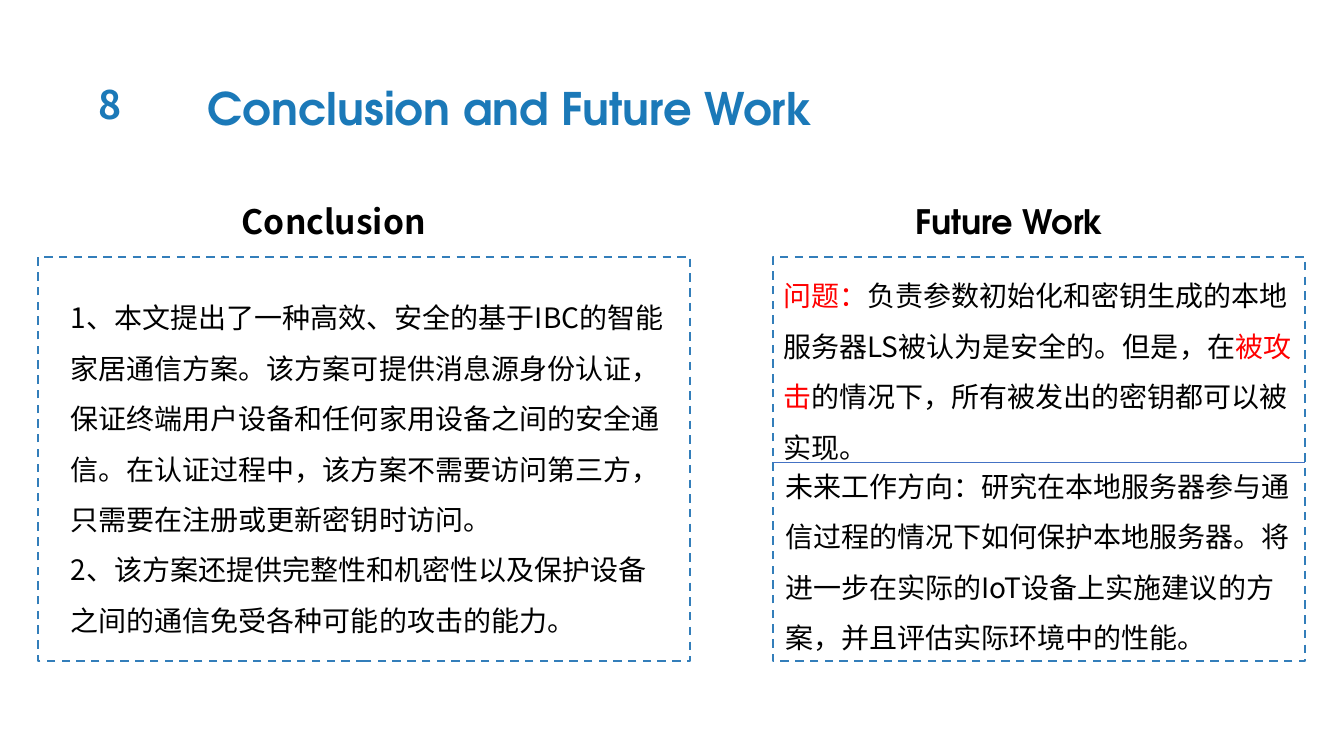
from dataclasses import dataclass

from lxml.etree import SubElement
from pptx import Presentation
from pptx.dml.color import RGBColor
from pptx.enum.dml import MSO_LINE
from pptx.enum.shapes import MSO_CONNECTOR, MSO_SHAPE
from pptx.enum.text import MSO_ANCHOR, MSO_AUTO_SIZE, PP_ALIGN
from pptx.oxml.ns import qn
from pptx.slide import Slide
from pptx.util import Pt

SANS = "Noto Sans CJK SC"
GEOMETRIC = "TeX Gyre Adventor"
BLUE, BLACK, RED = "1B79B8", "000000", "FF0000"
FRAME_BLUE, DIVIDER_BLUE = "337EBA", "4472C4"
FRAME_TOP, FRAME_HEIGHT = 183.6, 288.7
LEFT_FRAME, LEFT_WIDTH = 27.4, 465.8
RIGHT_FRAME, RIGHT_WIDTH = 552.2, 380.2
DIVIDER_TOP = 330.5


@dataclass(frozen=True)
class TextBlock:
    """Text with its place in points; paragraphs hold (text, colour) runs."""

    left: float
    top: float
    width: float
    height: float
    paragraphs: list[list[tuple[str, str]]]
    size: float = 20
    font: str = SANS
    bold: bool = False
    line_spacing: float = 1.0
    placeholder: int | None = None


BLOCKS = [
    TextBlock(63.4, 54, 28.8, 41, [[("8", BLUE)]], 28, bold=True),
    TextBlock(141.1, 54, 491.8, 46.1, [[("Conclusion and Future Work", BLUE)]],
              32, GEOMETRIC, True, placeholder=0),
    TextBlock(165.6, 139.7, 148.3, 36, [[("Conclusion", BLACK)]],
              24, bold=True, placeholder=1),
    TextBlock(646.6, 139.7, 195.1, 36, [[("Future Work", BLACK)]],
              24, GEOMETRIC, True, placeholder=3),
    TextBlock(43.2, 199.4, 445.7, 257.8, [
        [("1、本文提出了一种高效、安全的基于IBC的智能家居通信方案。该方案可提供消息源身份认证，"
          "保证终端用户设备和任何家用设备之间的安全通信。在认证过程中，该方案不需要访问第三方，"
          "只需要在注册或更新密钥时访问。", BLACK)],
        [("2、该方案还提供完整性和机密性以及保护设备之间的通信免受各种可能的攻击的能力。", BLACK)],
    ], line_spacing=1.5, placeholder=2),
    TextBlock(RIGHT_FRAME, FRAME_TOP, RIGHT_WIDTH, 148.3, [[
        ("问题：", RED),
        ("负责参数初始化和密钥生成的本地服务器LS被认为是安全的。但是，在", BLACK),
        ("被攻击", RED),
        ("的情况下，所有被发出的密钥都可以被实现。", BLACK),
    ]], line_spacing=1.5, placeholder=4),
    TextBlock(553.7, 319.7, RIGHT_WIDTH, 148.3, [[
        ("未来工作方向：研究在本地服务器参与通信过程的情况下如何保护本地服务器。"
         "将进一步在实际的IoT设备上实施建议的方案，并且评估实际环境中的性能。", BLACK),
    ]], line_spacing=1.5),
]


def colour(value: str) -> RGBColor:
    """Turn a hex string into a colour."""
    return RGBColor.from_string(value)


def add_block(slide: Slide, block: TextBlock) -> None:
    """Write a block into its placeholder, or into a new text box."""
    box = [Pt(length) for length in (block.left, block.top, block.width, block.height)]
    if block.placeholder is None:
        shape = slide.shapes.add_textbox(*box)
    else:
        shape = next(item for item in slide.placeholders
                     if item.placeholder_format.idx == block.placeholder)
        shape.left, shape.top, shape.width, shape.height = box
    frame = shape.text_frame
    frame.word_wrap = True
    frame.auto_size = MSO_AUTO_SIZE.SHAPE_TO_FIT_TEXT
    frame.vertical_anchor = MSO_ANCHOR.TOP
    for number, runs in enumerate(block.paragraphs):
        paragraph = frame.add_paragraph() if number else frame.paragraphs[0]
        paragraph.alignment = PP_ALIGN.LEFT
        paragraph.line_spacing = block.line_spacing
        paragraph.space_before = paragraph.space_after = Pt(0)
        properties = paragraph._p.get_or_add_pPr()
        properties.set("marL", "0")
        properties.set("indent", "0")
        SubElement(properties, qn("a:buNone"))
        for text, text_colour in runs:
            run = paragraph.add_run()
            run.text = text
            run.font.size = Pt(block.size)
            run.font.bold = block.bold
            run.font.color.rgb = colour(text_colour)
            run.font.name = block.font
            SubElement(run._r.get_or_add_rPr(), qn("a:ea"), typeface=block.font)


def add_frame(slide: Slide, left: float, width: float) -> None:
    """Draw the dashed frame of one column."""
    frame = slide.shapes.add_shape(
        MSO_SHAPE.RECTANGLE, Pt(left), Pt(FRAME_TOP), Pt(width), Pt(FRAME_HEIGHT))
    frame.shadow.inherit = False
    frame.fill.background()
    frame.line.color.rgb = colour(FRAME_BLUE)
    frame.line.width = Pt(1.5)
    frame.line.dash_style = MSO_LINE.DASH


def add_divider(slide: Slide) -> None:
    """Draw the line between the problem and the future direction."""
    divider = slide.shapes.add_connector(
        MSO_CONNECTOR.STRAIGHT, Pt(RIGHT_FRAME), Pt(DIVIDER_TOP),
        Pt(RIGHT_FRAME + RIGHT_WIDTH), Pt(DIVIDER_TOP))
    divider.line.color.rgb = colour(DIVIDER_BLUE)
    divider.line.width = Pt(1)
    SubElement(divider._element.spPr, qn("a:effectLst"))


def main() -> None:
    """Build the slide and save it."""
    presentation = Presentation()
    presentation.slide_width, presentation.slide_height = Pt(960), Pt(540)
    slide = presentation.slides.add_slide(
        presentation.slide_layouts.get_by_name("Comparison"))
    add_frame(slide, LEFT_FRAME, LEFT_WIDTH)
    add_frame(slide, RIGHT_FRAME, RIGHT_WIDTH)
    for block in BLOCKS:
        add_block(slide, block)
    add_divider(slide)
    presentation.save("out.pptx")


if __name__ == "__main__":
    main()
